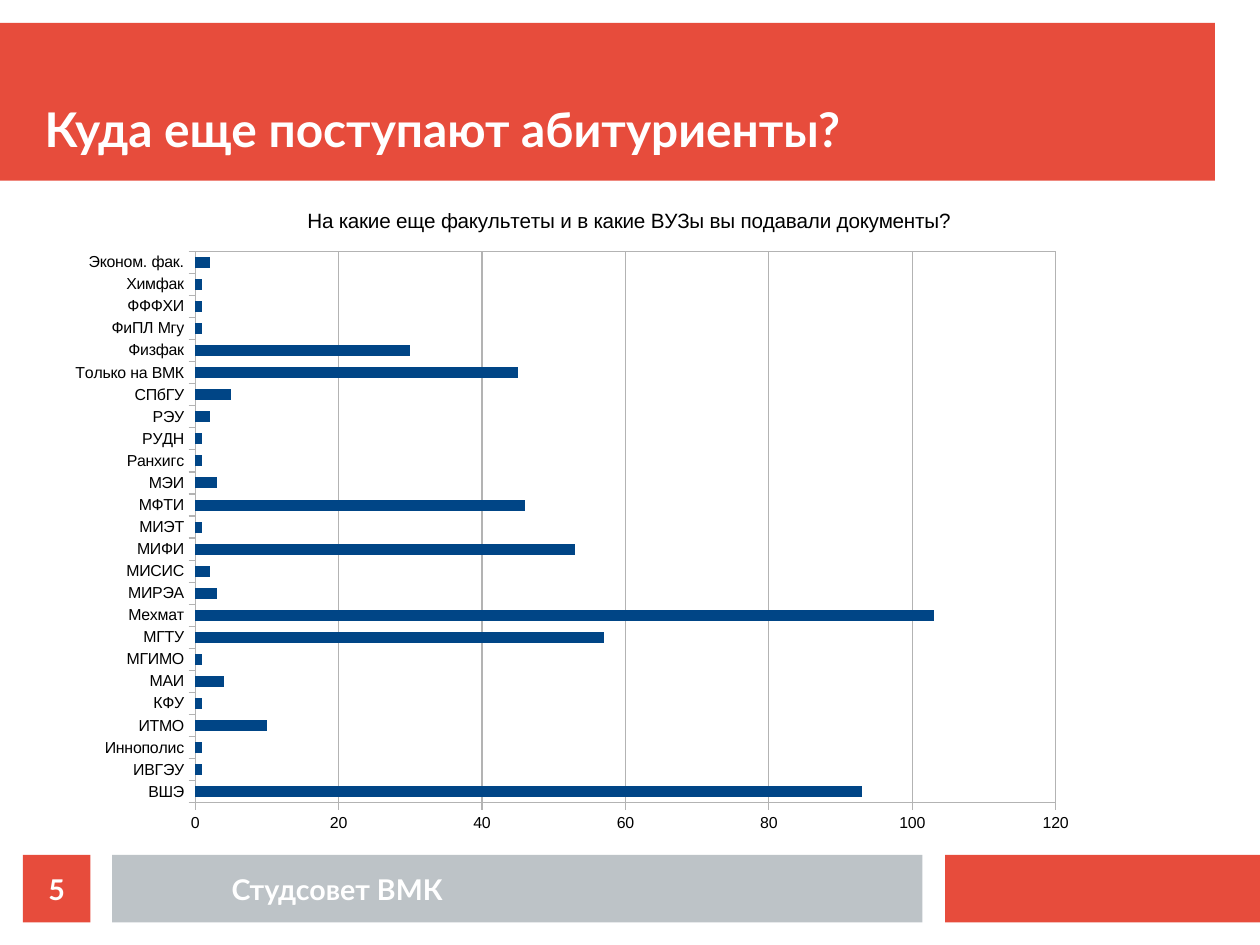
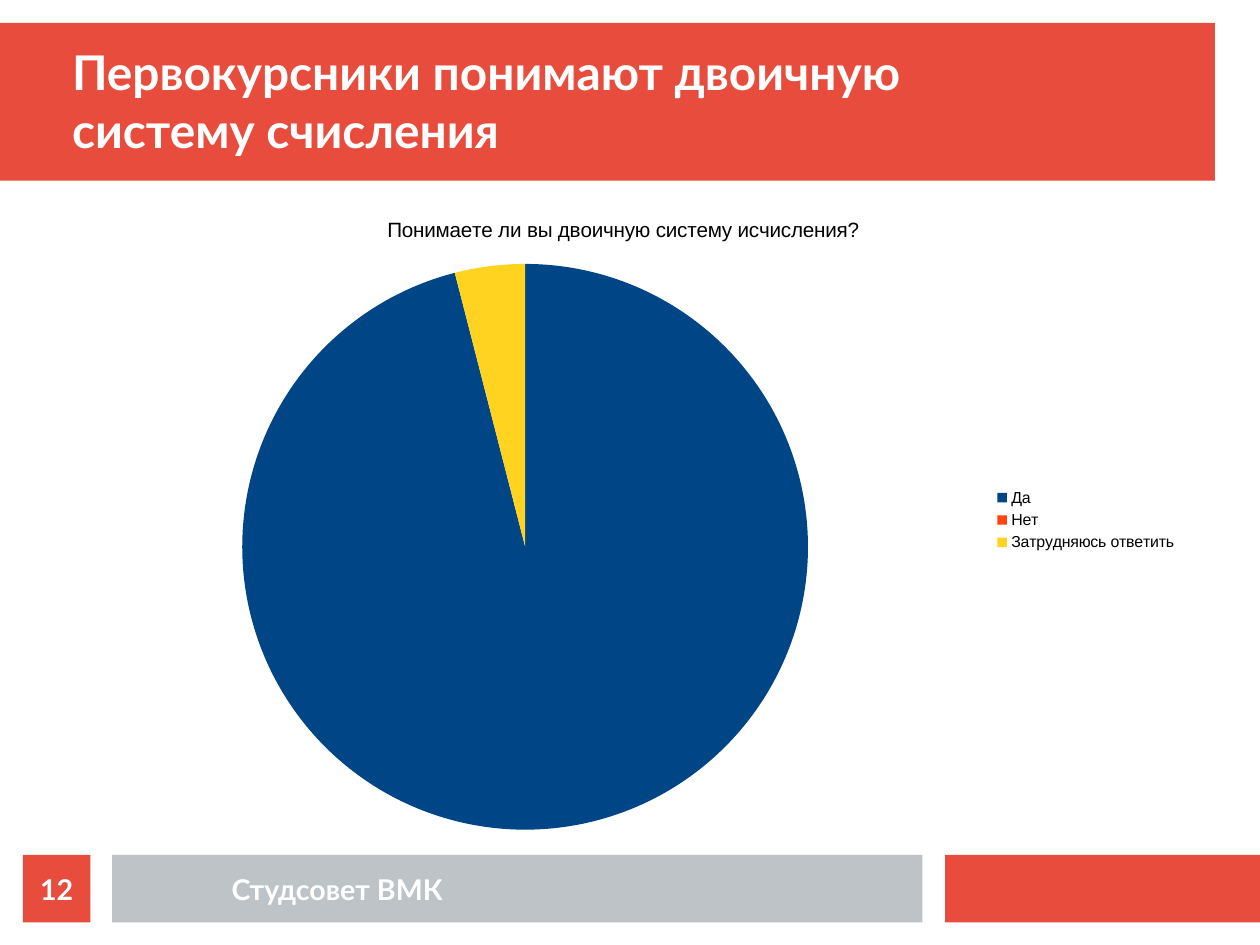
"""Two survey slides with a bar chart and a pie chart, on one shared layout."""
from dataclasses import dataclass

from pptx import Presentation
from pptx.chart.data import CategoryChartData
from pptx.dml.color import RGBColor as RGB
from pptx.enum.chart import XL_CHART_TYPE as ChartType
from pptx.enum.chart import XL_LEGEND_POSITION as LegendPosition
from pptx.enum.chart import XL_TICK_MARK as TickMark
from pptx.enum.shapes import MSO_SHAPE as Preset
from pptx.enum.text import MSO_ANCHOR as Anchor
from pptx.enum.text import MSO_AUTO_SIZE as AutoSize
from pptx.enum.text import PP_ALIGN as Align
from pptx.oxml import parse_xml
from pptx.oxml.ns import nsdecls
from pptx.util import Inches, Pt


@dataclass(frozen=True)
class Theme:
    red: RGB = RGB.from_string("E74C3C")
    grey: RGB = RGB.from_string("BDC3C7")
    white: RGB = RGB.from_string("FFFFFF")
    black: RGB = RGB.from_string("000000")
    axis: RGB = RGB.from_string("B3B3B3")
    series: tuple = tuple(map(RGB.from_string, ("004586", "FF420E", "FFD320")))
    heading_font: str = "Lato"
    chart_font: str = "Arial"
    title_size: float = 30.1
    footer_size: float = 18
    chart_title_size: float = 13
    chart_size: float = 10


theme = Theme()


def add_band(slide, box, color):
    band = slide.shapes.add_shape(Preset.RECTANGLE, *map(Inches, box))
    band.shadow.inherit = False
    band.fill.solid()
    band.fill.fore_color.rgb = color
    band.line.fill.background()
    return band


def write_text(shape, text, size, align, anchor):
    frame = shape.text_frame
    frame.margin_left = frame.margin_right = frame.margin_top = frame.margin_bottom = 0
    frame.word_wrap = True
    frame.auto_size = AutoSize.NONE
    frame.vertical_anchor = anchor
    paragraph = frame.paragraphs[0]
    paragraph.alignment = align
    run = paragraph.add_run()
    run.text = text
    run.font.name = theme.heading_font
    run.font.size = Pt(size)
    run.font.bold = True
    run.font.color.rgb = theme.white


cm_per_inch = 2.54
footer_top, footer_height = 7.48, 0.59
bands = [
    ((0, 0.2, 10.63, 1.38), theme.red),
    ((8.27, footer_top, 2.76, footer_height), theme.red),
    ((0.98, footer_top, 7.09, footer_height), theme.grey),
]

applications = {
    "ВШЭ": 93, "ИВГЭУ": 1, "Иннополис": 1, "ИТМО": 10, "КФУ": 1,
    "МАИ": 4, "МГИМО": 1, "МГТУ": 57, "Мехмат": 103, "МИРЭА": 3,
    "МИСИС": 2, "МИФИ": 53, "МИЭТ": 1, "МФТИ": 46, "МЭИ": 3,
    "Ранхигс": 1, "РУДН": 1, "РЭУ": 2, "СПбГУ": 5, "Только на ВМК": 45,
    "Физфак": 30, "ФиПЛ Мгу": 1, "ФФФХИ": 1, "Химфак": 1, "Эконом. фак.": 2,
}
binary_answers = {"Да": 96, "Нет": 0, "Затрудняюсь ответить": 4}

pages = [
    {
        "number": "5",
        "title": "Куда еще поступают абитуриенты?",
        "title_box": (0.39, 0.39, 10.24, 0.98),
        "indent": 0,
        "kind": ChartType.BAR_CLUSTERED,
        "chart_title": "На какие еще факультеты и в какие ВУЗы вы подавали документы?",
        "chart_box": (0.5, 1.62, 10, 5.78),
        "plot_target": "outer",
        "plot_box": (0.16, 0.58, 8.69, 5.08),
        "values": applications,
    },
    {
        "number": "12",
        "title": "Первокурсники понимают двоичную систему счисления",
        "title_box": (0.39, 0.24, 8.71, 1.14),
        "indent": 0.24,
        "kind": ChartType.PIE,
        "chart_title": "Понимаете ли вы двоичную систему исчисления?",
        "chart_box": (0.5, 1.7, 9.9, 5.7),
        "plot_target": "inner",
        "plot_box": (1.62, 0.61, 4.95, 4.95),
        "values": binary_answers,
    },
]

presentation = Presentation()
presentation.slide_width = Inches(28 / cm_per_inch)
presentation.slide_height = Inches(21 / cm_per_inch)
layout = presentation.slide_layouts[5]
for placeholder in list(layout.placeholders):
    if placeholder.placeholder_format.idx:
        layout.shapes.element.remove(placeholder.element)
slides = [presentation.slides.add_slide(layout) for page in pages]
for band in [add_band(slides[0], box, color) for box, color in bands]:
    layout.shapes.element.append(band.element)

for slide, page in zip(slides, pages):
    title = slide.shapes.title
    title.left, title.top, title.width, title.height = map(Inches, page["title_box"])
    write_text(title, page["title"], theme.title_size, Align.LEFT, Anchor.BOTTOM)
    if page["indent"]:
        paragraph_properties = title.text_frame.paragraphs[0]._p.get_or_add_pPr()
        paragraph_properties.set("marL", str(Inches(page["indent"])))
        paragraph_properties.set("indent", "0")

    data = CategoryChartData()
    data.categories = page["values"].keys()
    data.add_series("Series 1", page["values"].values())
    chart = slide.shapes.add_chart(page["kind"], *map(Inches, page["chart_box"]), data).chart
    chart.font.name = theme.chart_font
    chart.font.size = Pt(theme.chart_size)
    chart.font.color.rgb = theme.black
    chart.has_title = True
    chart.chart_title.include_in_layout = False
    run = chart.chart_title.text_frame.paragraphs[0].add_run()
    run.text = page["chart_title"]
    run.font.name = theme.chart_font
    run.font.size = Pt(theme.chart_title_size)
    run.font.bold = False
    run.font.color.rgb = theme.black

    chart_size = page["chart_box"][2:] * 2
    edges = "".join(f'<c:{name} val="{length / whole:.4f}"/>'
                    for name, length, whole in zip("xywh", page["plot_box"], chart_size))
    plot_area = chart.element.chart.plotArea
    for old_layout in plot_area.findall("{*}layout"):
        plot_area.remove(old_layout)
    plot_area.insert(0, parse_xml(
        f'<c:layout {nsdecls("c")}><c:manualLayout>'
        f'<c:layoutTarget val="{page["plot_target"]}"/>'
        f'<c:xMode val="edge"/><c:yMode val="edge"/>{edges}</c:manualLayout></c:layout>'))

    plot = chart.plots[0]
    series = plot.series[0]
    if page["kind"] == ChartType.PIE:
        plot.vary_by_categories = True
        chart.has_legend = True
        chart.legend.position = LegendPosition.RIGHT
        chart.legend.include_in_layout = False
        for index, color in enumerate(theme.series):
            slice_format = series.points[index].format
            slice_format.fill.solid()
            slice_format.fill.fore_color.rgb = color
            slice_format.line.fill.background()
    else:
        plot.vary_by_categories = False
        plot.gap_width = 100
        chart.has_legend = False
        series.format.fill.solid()
        series.format.fill.fore_color.rgb = theme.series[0]
        chart.value_axis.minimum_scale = 0
        chart.value_axis.maximum_scale = 120
        chart.value_axis.major_unit = 20
        chart.value_axis.has_major_gridlines = True
        for axis in (chart.category_axis, chart.value_axis):
            axis.major_tick_mark = TickMark.OUTSIDE
            axis.minor_tick_mark = TickMark.NONE
        for lined in (chart.category_axis, chart.value_axis, chart.value_axis.major_gridlines):
            lined.format.line.color.rgb = theme.axis
            lined.format.line.width = Pt(0)
        plot_area.append(parse_xml(
            f'<c:spPr {nsdecls("c", "a")}><a:noFill/><a:ln w="0"><a:solidFill>'
            f'<a:srgbClr val="{theme.axis}"/></a:solidFill></a:ln></c:spPr>'))

    footer = slide.shapes.add_textbox(*map(Inches, (1.18, footer_top, 3.54, footer_height)))
    write_text(footer, "Студсовет ВМК", theme.footer_size, Align.CENTER, Anchor.MIDDLE)
    number = add_band(slide, (0.2, footer_top, footer_height, footer_height), theme.red)
    write_text(number, page["number"], theme.footer_size, Align.CENTER, Anchor.MIDDLE)

presentation.save("out.pptx")
